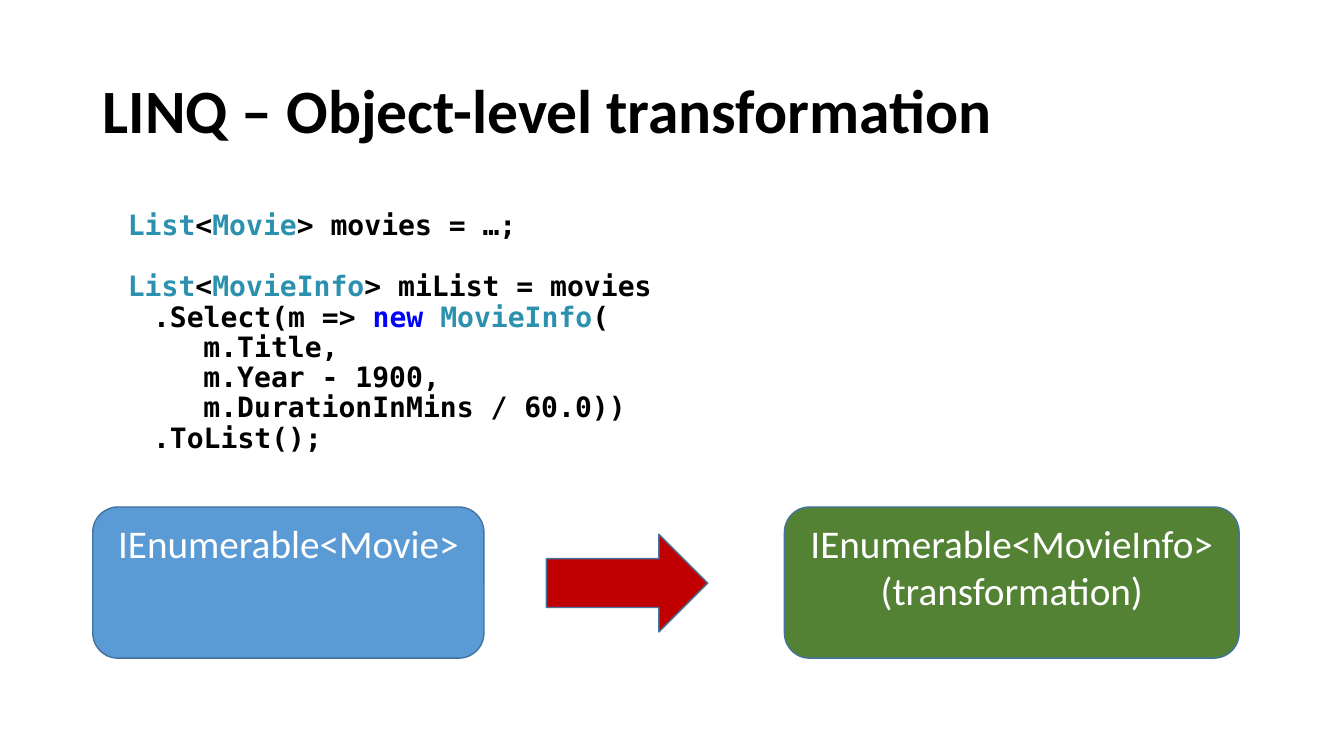
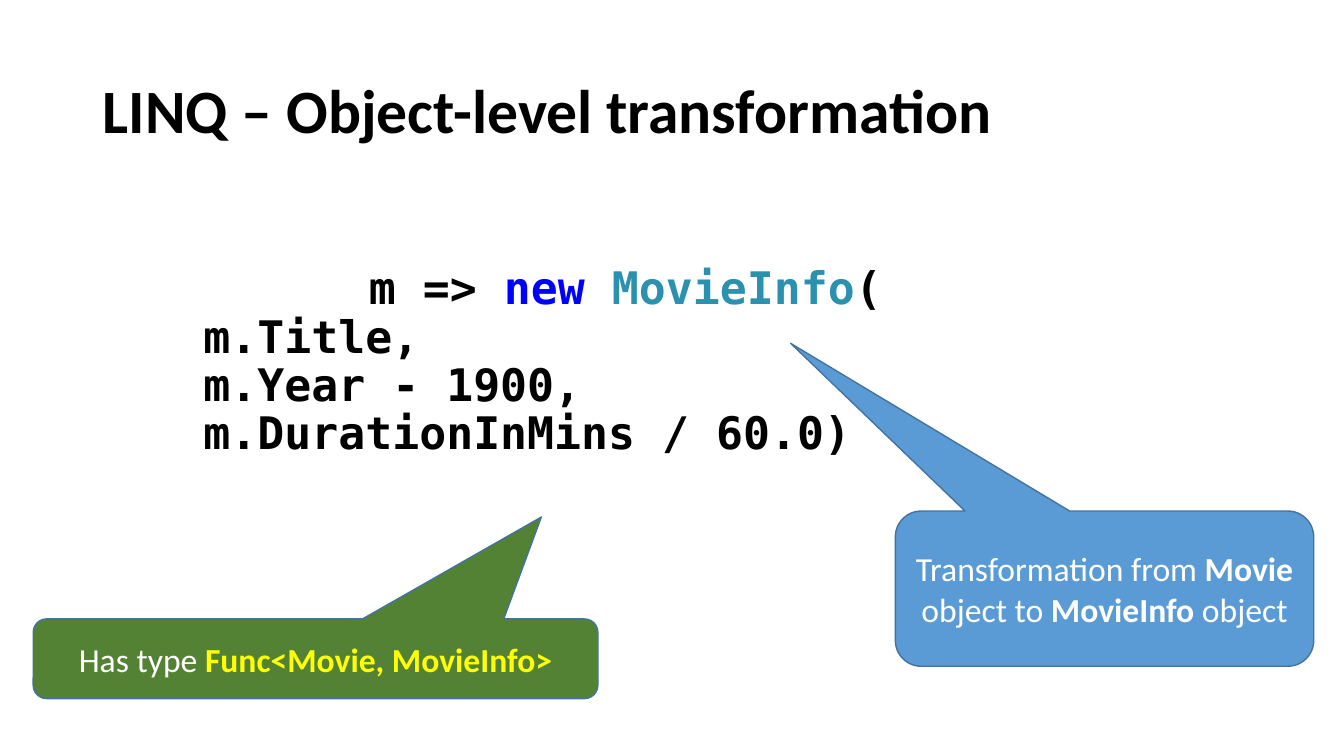
"""Build two slides on object-level transformation with LINQ."""
from pptx import Presentation
from pptx.dml.color import RGBColor as Rgb
from pptx.enum.shapes import MSO_SHAPE as Shape
from pptx.enum.text import MSO_ANCHOR as Anchor, PP_ALIGN as Align
from pptx.util import Pt

PX = 9144
SANS, MONO = "Calibri", "DejaVu Sans Mono"
TITLE = "LINQ – Object-level transformation"
COLORS = {
    "black": "000000", "white": "FFFFFF", "type": "2B91AF",
    "key": "0000FF", "blue": "5B9BD5", "green": "548235",
    "red": "C00000", "edge": "43739E", "yellow": "FFFF00",
}


def color(name):
    return Rgb.from_string(COLORS[name])


def place(*box):
    return [n * PX for n in box]


def style(run, font, size, tint, bold=False):
    run.font.name = font
    run.font.size = Pt(size)
    run.font.bold = bold
    run.font.color.rgb = color(tint)


def fill_line(para, parts, font, size):
    for text, tint, bold in parts:
        run = para.add_run()
        run.text = text
        style(run, font, size, tint, bold)


def add_text(slide, box):
    frame = slide.shapes.add_textbox(*place(*box)).text_frame
    frame.word_wrap = True
    return frame


def add_title(slide):
    frame = add_text(slide, (92, 40, 1150, 145))
    frame.vertical_anchor = Anchor.MIDDLE
    frame.text = TITLE
    para = frame.paragraphs[0]
    para.line_spacing = 0.9
    style(para.runs[0], SANS, 44, "black", True)


def add_code(slide, box, size, lines):
    frame = add_text(slide, box)
    for i, (indent, gap, parts) in enumerate(lines):
        para = frame.add_paragraph() if i else frame.paragraphs[0]
        para.line_spacing = 0.9
        para.space_before = Pt(gap)
        para._p.get_or_add_pPr().set("marL", str(indent * PX))
        bold = [(text, tint, True) for text, tint in parts]
        fill_line(para, bold, MONO, size)


def add_block(slide, kind, box, fill):
    block = slide.shapes.add_shape(kind, *place(*box))
    block.shadow.inherit = False
    block.fill.solid()
    block.fill.fore_color.rgb = color(fill)
    block.line.color.rgb = color("edge")
    block.line.width = Pt(1)
    return block


def add_card(slide, box, fill, text):
    frame = add_block(slide, Shape.ROUNDED_RECTANGLE, box, fill).text_frame
    frame.word_wrap = True
    frame.vertical_anchor = Anchor.TOP
    frame.text = text
    for para in frame.paragraphs:
        para.alignment = Align.CENTER
        style(para.runs[0], SANS, 28, "white")


def add_callout(slide, box, fill, tip, parts):
    block = add_block(slide, Shape.ROUNDED_RECTANGULAR_CALLOUT, box, fill)
    block.adjustments[0], block.adjustments[1] = tip
    frame = block.text_frame
    frame.word_wrap = True
    frame.vertical_anchor = Anchor.MIDDLE
    para = frame.paragraphs[0]
    para.alignment = Align.CENTER
    fill_line(para, parts, SANS, 24)


def plain(indent, text):
    return indent, 0, [(text, "black")]


def members(end):
    texts = "m.Title,", "m.Year - 1900,", "m.DurationInMins / 60.0" + end
    return [plain(100, text) for text in texts]


def make_new(indent, start):
    return indent, 0, [(start, "black"), ("new ", "key"),
                       ("MovieInfo", "type"), ("(", "black")]


def declare(item, rest, gap=0):
    return 25, gap, [("List", "type"), ("<", "black"),
                     (item, "type"), ("> " + rest, "black")]


def show_query(slide):
    add_code(slide, (92, 205, 1150, 275), 20, [
        declare("Movie", "movies = …;"),
        declare("MovieInfo", "miList = movies", 22),
        make_new(50, ".Select(m => "),
        *members("))"),
        plain(50, ".ToList();"),
    ])
    add_card(slide, (92, 503, 388, 150), "blue", "IEnumerable<Movie>")
    add_card(slide, (778, 503, 451, 150), "green",
             "IEnumerable<MovieInfo>\n(transformation)")
    add_block(slide, Shape.RIGHT_ARROW, (542, 530, 160, 97), "red")


def show_lambda(slide):
    add_code(slide, (92, 259, 1150, 233), 32,
             [make_new(264, "m => "), *members(")")])
    add_callout(slide, (888, 507, 415, 154), "blue", (-0.75, -1.58), [
        ("Transformation from ", "white", False),
        ("Movie", "white", True),
        (" object to ", "white", False),
        ("MovieInfo", "white", True),
        (" object", "white", False),
    ])
    add_callout(slide, (33, 614, 560, 79), "green", (0.4, -1.78), [
        ("Has type ", "white", False),
        ("Func<Movie, MovieInfo>", "yellow", True),
    ])


def main():
    deck = Presentation()
    deck.slide_width, deck.slide_height = place(1333, 750)
    for show in (show_query, show_lambda):
        slide = deck.slides.add_slide(deck.slide_layouts[6])
        add_title(slide)
        show(slide)
    deck.save("out.pptx")


if __name__ == "__main__":
    main()
